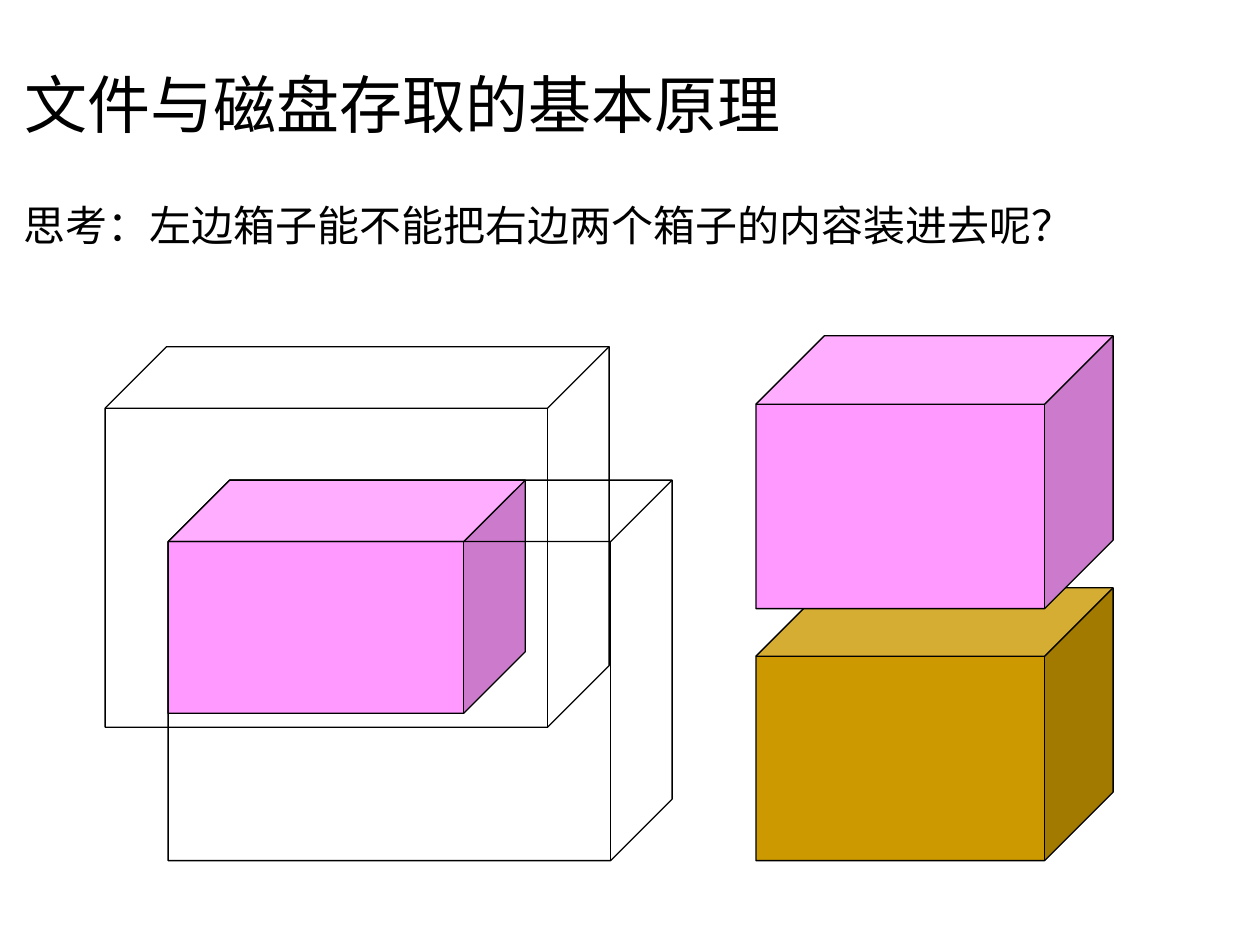
import pptx
import pptx.dml.color
import pptx.enum.shapes
import pptx.enum.text
import pptx.oxml
import pptx.oxml.ns
import pptx.util

Cm = pptx.util.Cm
Pt = pptx.util.Pt
Anchor = pptx.enum.text.MSO_ANCHOR

COLORS = {"ink": "000000", "pink": "FF99FF", "gold": "CC9900"}
FONT = "Noto Sans CJK SC"


def rgb(name):
    return pptx.dml.color.RGBColor.from_string(COLORS[name])


def write(sp, text, size=24, color="ink", anchor=Anchor.TOP):
    tf = sp.text_frame
    tf.word_wrap = False
    tf.auto_size = pptx.enum.text.MSO_AUTO_SIZE.SHAPE_TO_FIT_TEXT
    tf.vertical_anchor = anchor
    p = tf.paragraphs[0]
    p.alignment = pptx.enum.text.PP_ALIGN.LEFT
    r = p.add_run()
    r.text = text
    r.font.size = Pt(size)
    r.font.name = FONT
    r.font.color.rgb = rgb(color)
    ea = pptx.oxml.parse_xml(
        f'<a:ea {pptx.oxml.ns.nsdecls("a")} typeface="{FONT}"/>')
    r.font._element.find(pptx.oxml.ns.qn("a:latin")).addnext(ea)


class SlideBuilder:
    def __init__(self, prs, line_color="ink", line_width=0.75):
        self.slide = prs.slides.add_slide(prs.slide_layouts[5])
        self.line_color = line_color
        self.line_width = line_width

    def title(self, text, left, top, width, height, **fmt):
        sp = self.slide.shapes.title
        sp.left, sp.top = Cm(left), Cm(top)
        sp.width, sp.height = Cm(width), Cm(height)
        write(sp, text, **fmt)

    def text(self, text, left, top, width, height, **fmt):
        sp = self.slide.shapes.add_textbox(
            Cm(left), Cm(top), Cm(width), Cm(height))
        write(sp, text, **fmt)

    def group(self):
        return self.slide.shapes.add_group_shape()

    def cube(self, group, left, top, size, depth, fill=None):
        width, height = size
        sp = group.shapes.add_shape(
            pptx.enum.shapes.MSO_SHAPE.CUBE,
            Cm(left), Cm(top), Cm(width), Cm(height))
        sp.adjustments[0] = depth / min(size)
        sp.shadow.inherit = False
        if fill:
            sp.fill.solid()
            sp.fill.fore_color.rgb = rgb(fill)
        else:
            sp.fill.background()
        sp.line.color.rgb = rgb(self.line_color)
        sp.line.width = Pt(self.line_width)


def main():
    prs = pptx.Presentation()
    prs.slide_width, prs.slide_height = Cm(25.4), Cm(19.05)
    s = SlideBuilder(prs)

    s.title("文件与磁盘存取的基本原理", 0.23, 1.19, 15.75, 1.78, size=36)
    s.text("思考：左边箱子能不能把右边两个箱子的内容装进去呢？",
           0.23, 3.89, 21.67, 1.27, anchor=Anchor.MIDDLE)

    big_box, small_box, content = (10.16, 7.67), (7.2, 5.5), (7.2, 4.7)
    big_depth, small_depth = 1.24, 1.38
    inner_left, inner_top = 3.39, 9.68

    boxes = s.group()
    s.cube(boxes, 2.12, 6.99, big_box, big_depth)
    for top, fill in ((11.85, "gold"), (6.77, "pink")):
        s.cube(boxes, 15.24, top, small_box, small_depth, fill)

    packed = s.group()
    s.cube(packed, inner_left, inner_top, content, big_depth, "pink")
    s.cube(packed, inner_left, inner_top, big_box, big_depth)

    prs.save("out.pptx")


if __name__ == "__main__":
    main()
